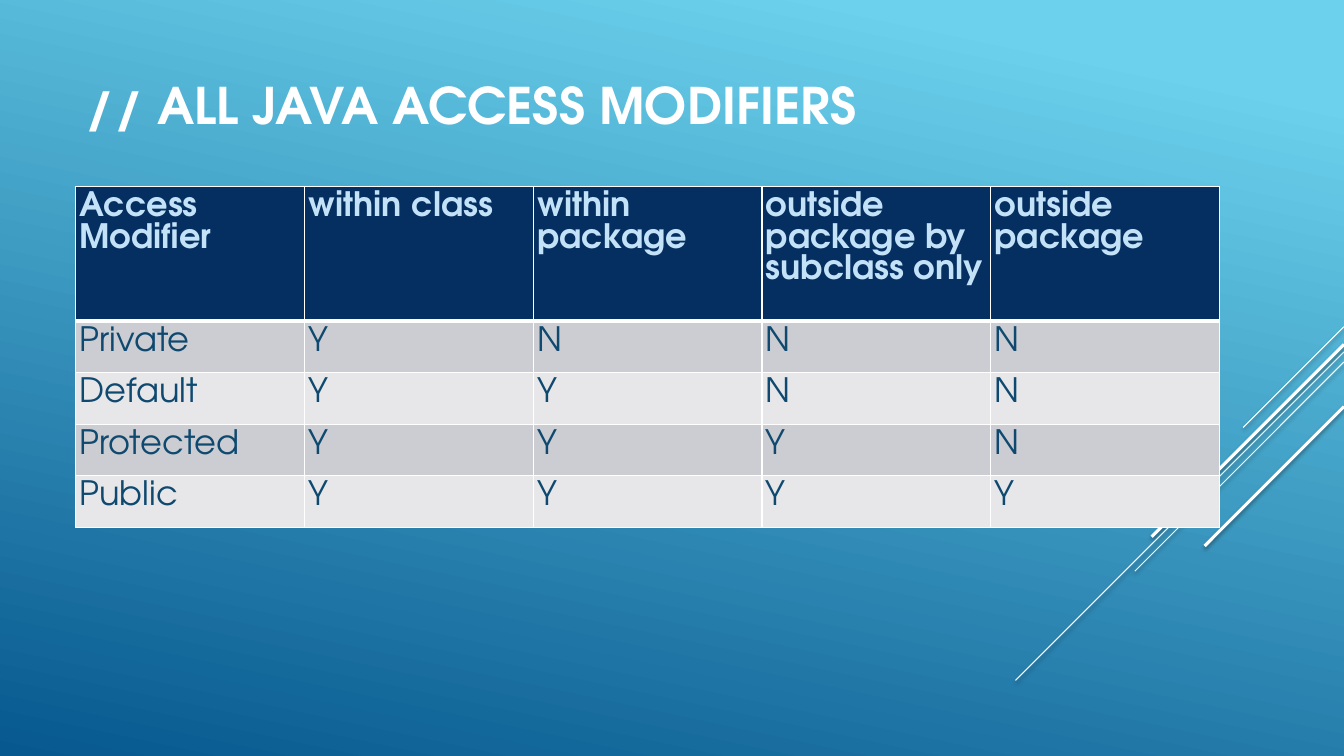
from dataclasses import dataclass
from typing import Any

from lxml.etree import SubElement
from pptx import Presentation
from pptx.dml.color import RGBColor
from pptx.enum.shapes import MSO_CONNECTOR
from pptx.enum.text import MSO_ANCHOR, PP_ALIGN
from pptx.oxml.ns import qn
from pptx.util import Emu, Inches, Pt

UNIT = Inches(1 / 12)
GRID_COLUMNS, GRID_ROWS = 160, 90
FONT = "TeX Gyre Adventor"
WHITE = RGBColor(0xFF, 0xFF, 0xFF)
BLACK = RGBColor(0x00, 0x00, 0x00)
SKY = RGBColor(0x6B, 0xD1, 0xEC)
OCEAN = RGBColor(0x06, 0x58, 0x8E)
NAVY = RGBColor(0x05, 0x2F, 0x61)
ICE = RGBColor(0xC3, 0xE2, 0xF7)
INK = RGBColor(0x0F, 0x49, 0x6F)
DARK_BAND = RGBColor(0xCC, 0xCD, 0xD2)
LIGHT_BAND = RGBColor(0xE7, 0xE7, 0xEA)

TITLE = "// ALL JAVA ACCESS MODIFIERS"
HEADINGS = ("Access Modifier", "within class", "within package",
            "outside package by subclass only", "outside package")
ACCESS = {"Private": "YNNN", "Default": "YYNN", "Protected": "YYYN", "Public": "YYYY"}
THIN_BORDER, HEADER_BORDER = 0.96, 3


@dataclass(frozen=True)
class Stripe:
    """A diagonal from the right edge, in grid rows, with a width in points."""
    top: float
    span: float
    weight: float


@dataclass(frozen=True)
class RowLook:
    """The colours, alignment and border widths of one table row."""
    fill: RGBColor
    ink: RGBColor
    bold: bool
    align: PP_ALIGN
    top: float
    bottom: float


STRIPES = (
    Stripe(38.9, 12, 0.75),
    Stripe(41.9, 39.1, 0.75),
    Stripe(43.1, 24.9, 0.75),
    Stripe(41, 22.9, 2.25),
    Stripe(48.4, 16.6, 2.25),
)


def grid(count: float) -> Emu:
    """Return the length of a number of grid columns or rows."""
    return Emu(round(count * UNIT))


def apply(target: Any, values: dict[str, Any]) -> None:
    """Set every named attribute on the target."""
    for name, value in values.items():
        setattr(target, name, value)


def set_font(font: Any, size: float, color: RGBColor, bold: bool) -> None:
    """Format a font in the slide's typeface."""
    apply(font, {"name": FONT, "size": Pt(size), "bold": bold})
    font.color.rgb = color


def paint_background(page: Any) -> None:
    """Fill the page with a slanted blue gradient."""
    fill = page.background.fill
    fill.gradient()
    fill.gradient_angle = 360 - 102
    for stop, position, color in zip(fill.gradient_stops, (0.1, 1), (SKY, OCEAN)):
        stop.position = position
        stop.color.rgb = color


def draw_stripe(page: Any, stripe: Stripe) -> None:
    """Draw one white diagonal with a soft shadow."""
    line = page.shapes.add_connector(
        MSO_CONNECTOR.STRAIGHT, grid(GRID_COLUMNS), grid(stripe.top),
        grid(GRID_COLUMNS - stripe.span), grid(stripe.top + stripe.span))
    line.line.color.rgb = WHITE
    line.line.width = Pt(stripe.weight)
    effects = SubElement(line._element.spPr, qn("a:effectLst"))
    shadow = SubElement(effects, qn("a:outerShdw"), blurRad=str(Pt(3.1)),
                        dist=str(Pt(1.6)), dir="5400000", rotWithShape="0")
    color = SubElement(shadow, qn("a:srgbClr"), val=str(BLACK))
    SubElement(color, qn("a:alpha"), val="38000")


def write_title(page: Any) -> None:
    """Place and format the title."""
    title = page.shapes.title
    apply(title, {"left": grid(9), "top": grid(2.5),
                  "width": grid(112), "height": grid(19.8)})
    frame = title.text_frame
    apply(frame, {"text": TITLE, "word_wrap": True, "vertical_anchor": MSO_ANCHOR.MIDDLE})
    para = frame.paragraphs[0]
    para.alignment = PP_ALIGN.LEFT
    set_font(para.font, 36, WHITE, True)


def fill_cell(cell: Any, text: str, look: RowLook) -> None:
    """Write one cell and give it its borders and fill."""
    apply(cell, {"text": text, "margin_left": Inches(0.04), "margin_right": Inches(0.04),
                 "margin_top": Inches(0.05), "margin_bottom": Inches(0.05)})
    para = cell.text_frame.paragraphs[0]
    apply(para, {"alignment": look.align, "line_spacing": Pt(22.5)})
    set_font(para.font, 24, look.ink, look.bold)
    borders = {"L": THIN_BORDER, "R": THIN_BORDER, "T": look.top, "B": look.bottom}
    for side, weight in borders.items():
        border = SubElement(cell._tc.get_or_add_tcPr(), qn(f"a:ln{side}"), w=str(Pt(weight)))
        SubElement(SubElement(border, qn("a:solidFill")), qn("a:srgbClr"), val=str(WHITE))
    cell.fill.solid()
    cell.fill.fore_color.rgb = look.fill


def row_look(index: int) -> RowLook:
    """Choose the look of a row by its place in the table."""
    if index == 0:
        return RowLook(NAVY, ICE, True, PP_ALIGN.LEFT, THIN_BORDER, HEADER_BORDER)
    fill = DARK_BAND if index % 2 else LIGHT_BAND
    top = HEADER_BORDER if index == 1 else THIN_BORDER
    return RowLook(fill, INK, False, PP_ALIGN.JUSTIFY, top, THIN_BORDER)


def draw_table(page: Any) -> None:
    """Build the table of access modifiers."""
    rows = [HEADINGS, *((name, *marks) for name, marks in ACCESS.items())]
    heights = [16, *[6.15] * len(ACCESS)]
    table = page.shapes.add_table(len(rows), len(HEADINGS), grid(9), grid(22.2),
                                  grid(136.2), grid(sum(heights))).table
    apply(table, {"first_row": False, "horz_banding": False})
    for index, (texts, height) in enumerate(zip(rows, heights)):
        table.rows[index].height = grid(height)
        for cell, text in zip(table.rows[index].cells, texts):
            fill_cell(cell, text, row_look(index))


def main() -> None:
    """Build and save the deck."""
    deck = Presentation()
    apply(deck, {"slide_width": grid(GRID_COLUMNS), "slide_height": grid(GRID_ROWS)})
    page = deck.slides.add_slide(deck.slide_layouts[5])
    paint_background(page)
    for stripe in STRIPES:
        draw_stripe(page, stripe)
    draw_table(page)
    write_title(page)
    deck.save("out.pptx")


if __name__ == "__main__":
    main()
